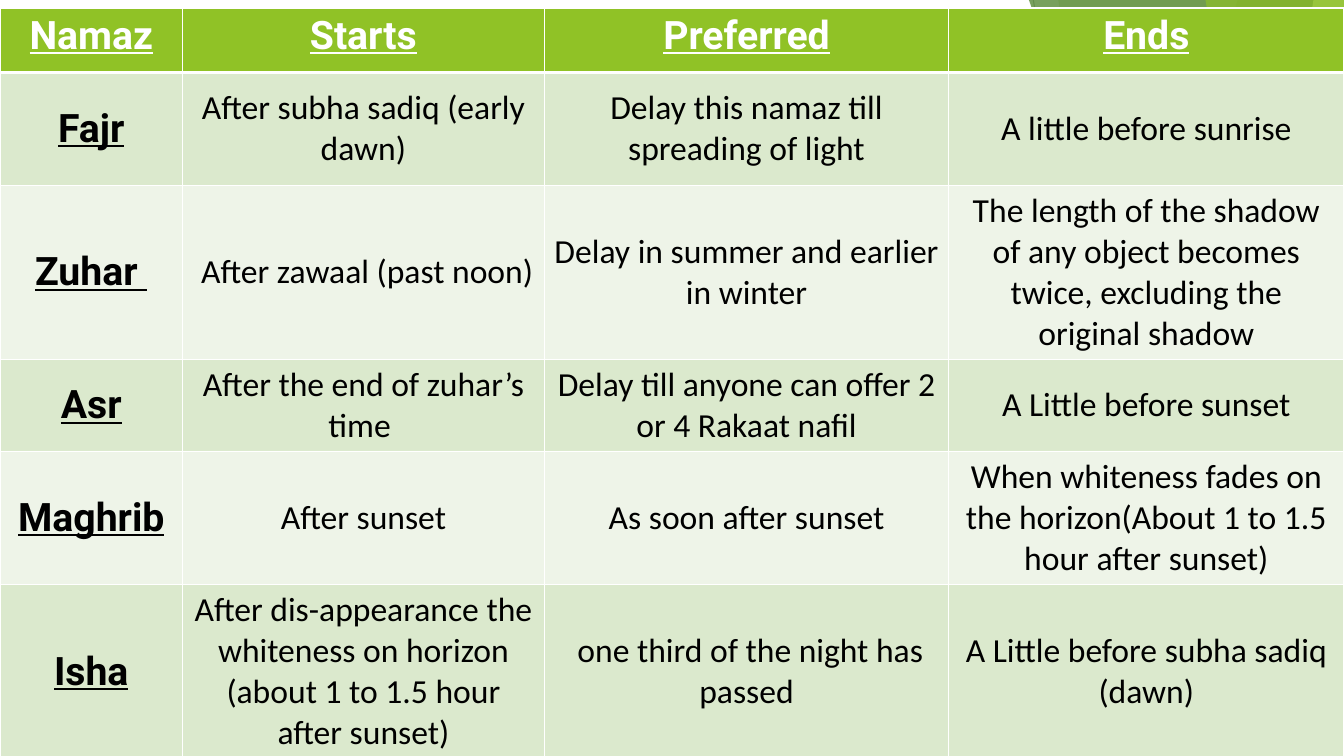
from dataclasses import dataclass
from lxml import etree
from pptx import Presentation
from pptx.dml.color import RGBColor
from pptx.enum.shapes import MSO_CONNECTOR
from pptx.enum.text import MSO_ANCHOR, PP_ALIGN
from pptx.oxml.ns import qn
from pptx.util import Cm, Pt

LINE = MSO_CONNECTOR.STRAIGHT
TOP, MIDDLE = MSO_ANCHOR.TOP, MSO_ANCHOR.MIDDLE
CENTER = PP_ALIGN.CENTER


@dataclass
class Theme:
    green: str = "90C226"
    dark: str = "3F7819"
    lime: str = "C0E474"
    gray: str = "BFBFBF"
    band: str = "DBE9CD"
    pale: str = "EEF4E8"
    white: str = "FFFFFF"
    black: str = "000000"
    head: str = "Roboto"
    body: str = "Calibri"
    large: int = 28
    small: int = 24


theme = Theme()


def write(cell, text, font, size, color, strong=False, anchor=MIDDLE):
    cell.vertical_anchor = anchor
    para = cell.text_frame.paragraphs[0]
    para.alignment = CENTER
    run = para.add_run()
    run.text = text
    run.font.name = font
    run.font.size = Pt(size)
    run.font.bold = strong
    run.font.underline = strong
    run.font.color.rgb = RGBColor.from_string(color)


def edge(cell, widths):
    props = cell._tc.get_or_add_tcPr()
    for spot, (side, width) in enumerate(zip("LRTB", widths)):
        line = etree.Element(qn("a:ln" + side), w=str(Pt(width)))
        fill = etree.SubElement(line, qn("a:solidFill"))
        etree.SubElement(fill, qn("a:srgbClr"), val=theme.white)
        props.insert(spot, line)


deck = Presentation()
deck.slide_width, deck.slide_height = Cm(33.87), Cm(19.05)
slide = deck.slides.add_slide(deck.slide_layouts[6])
shapes = slide.shapes

ray = shapes.add_connector(LINE, Cm(26.04), 0, Cm(29.41), Cm(19.05))
ray.line.color.rgb = RGBColor.from_string(theme.gray)
ray.line.width = Pt(0.75)
etree.SubElement(ray._element.spPr, qn("a:effectLst"))

facets = [
    (31.19, 25.5, theme.green, 30),
    (26.67, 30.05, theme.green, 20),
    (25.93, 32.79, theme.dark, 70),
    (33.1, 30.28, theme.lime, 70),
    (30.38, 33.48, theme.green, 65),
]
for upper, lower, color, alpha in facets:
    path = shapes.build_freeform(Cm(upper), 0)
    path.add_line_segments([
        (Cm(33.87), 0), (Cm(33.87), Cm(19.05)), (Cm(lower), Cm(19.05)),
    ])
    facet = path.convert_to_shape()
    facet.shadow.inherit = False
    facet.line.fill.background()
    facet.fill.solid()
    facet.fill.fore_color.rgb = RGBColor.from_string(color)
    tint = facet._element.spPr.find(qn("a:solidFill"))[0]
    etree.SubElement(tint, qn("a:alpha"), val=str(alpha * 1000))

rows = [
    ("Namaz", "Starts", "Preferred", "Ends"),
    ("Fajr", "After subha sadiq (early dawn)",
     "Delay this namaz till spreading of light", "A little before sunrise"),
    ("Zuhar ", " After zawaal (past noon)",
     "Delay in summer and earlier in winter",
     "The length of the shadow of any object becomes twice, "
     "excluding the original shadow"),
    ("Asr", "After the end of zuhar’s time ",
     "Delay till anyone can offer 2 or 4 Rakaat nafil",
     "A Little before sunset"),
    ("Maghrib", "After sunset", "As soon after sunset",
     "When whiteness fades on the horizon"
     "(About 1 to 1.5 hour after sunset)"),
    ("Isha",
     "After dis-appearance the whiteness on horizon "
     "(about 1 to 1.5 hour after sunset)",
     " one third of the night has passed",
     "A Little before subha sadiq (dawn)"),
]
widths = [4.6, 9.12, 10.19, 9.96]
heights = [1.63, 2.84, 4.29, 2.24, 3.23, 4.19]

table = shapes.add_table(len(rows), len(widths), 0, Cm(0.2),
                         Cm(sum(widths)), Cm(sum(heights))).table
for column, width in zip(table.columns, widths):
    column.width = Cm(width)

for r, (row, height) in enumerate(zip(rows, heights)):
    table.rows[r].height = Cm(height)
    shade = theme.green if r == 0 else theme.band if r % 2 else theme.pale
    for c, text in enumerate(row):
        cell = table.cell(r, c)
        cell.fill.solid()
        cell.fill.fore_color.rgb = RGBColor.from_string(shade)
        edge(cell, (1, 1, 3 if r == 1 else 1, 3 if r == 0 else 1))
        if r == 0:
            write(cell, text, theme.head, theme.large, theme.white,
                  strong=True, anchor=TOP)
        elif c == 0:
            write(cell, text, theme.head, theme.large, theme.black,
                  strong=True)
        else:
            write(cell, text, theme.body, theme.small, theme.black)

deck.save("out.pptx")
